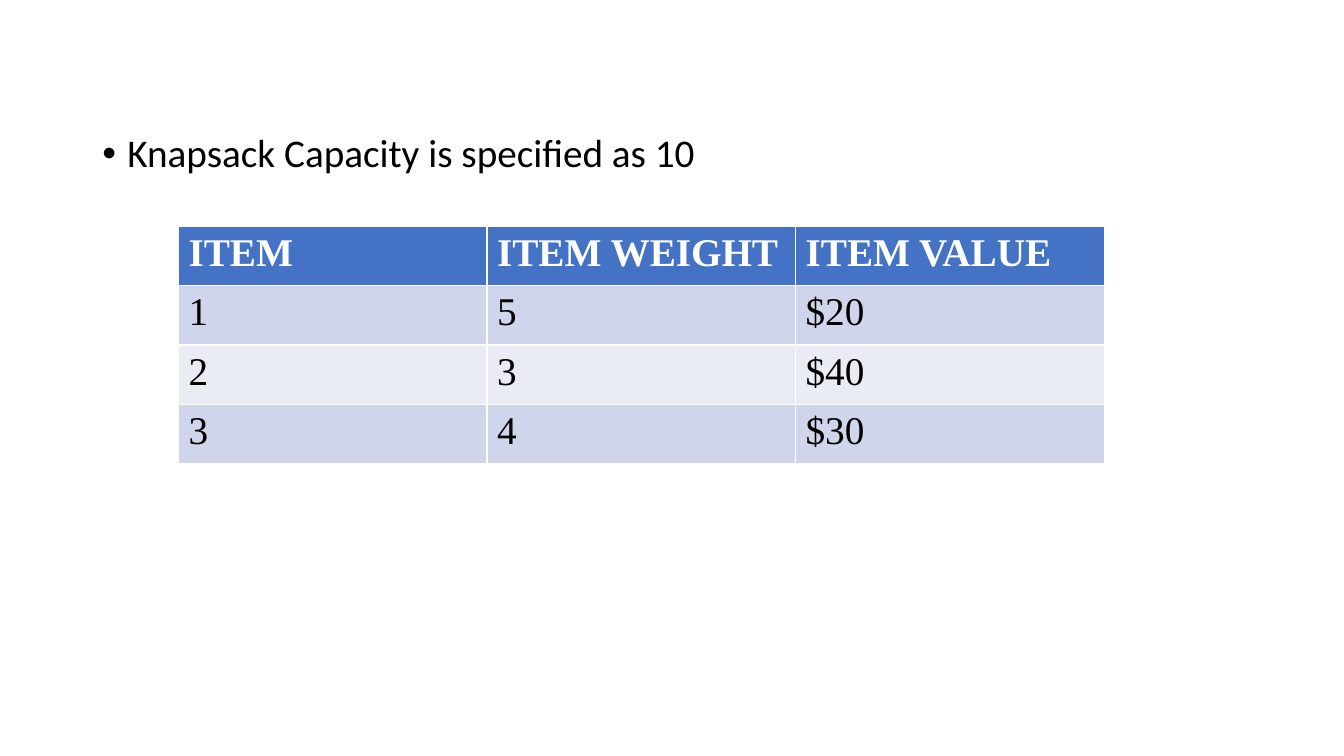
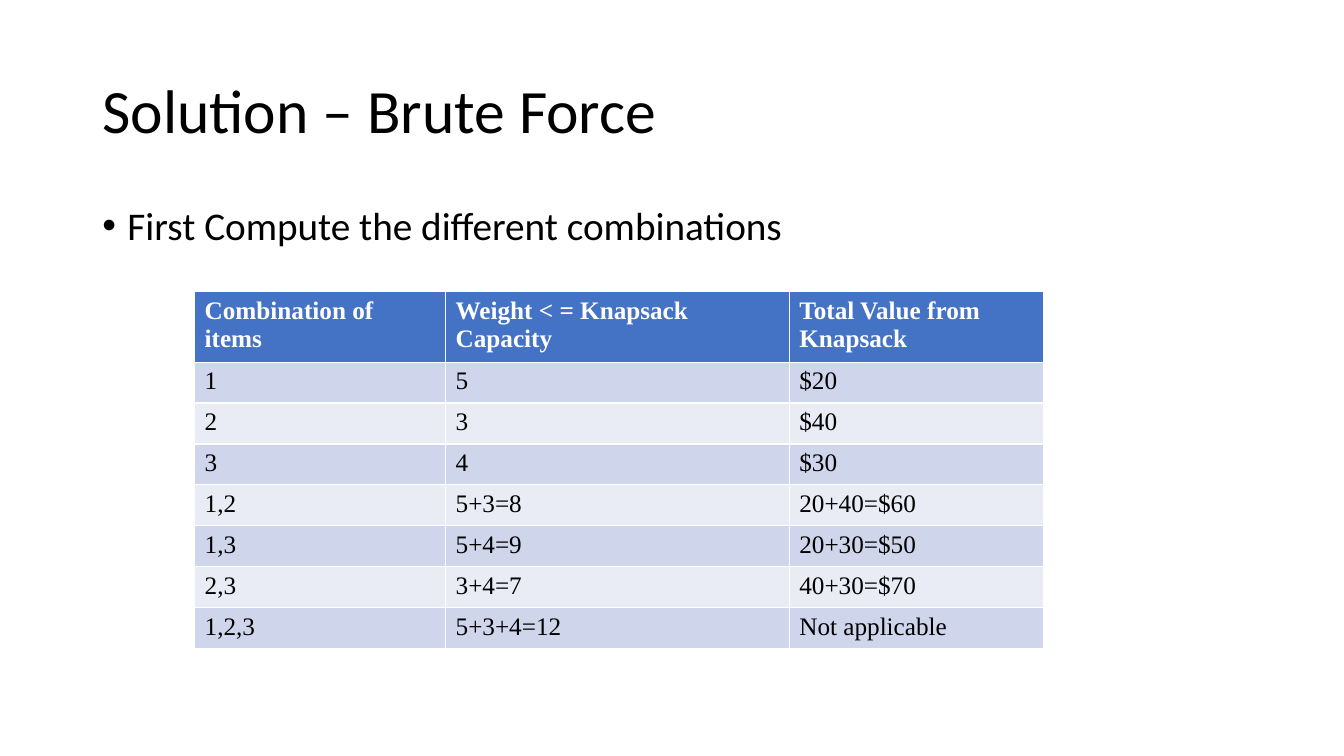
import pptx
import pptx.dml.color
import pptx.enum.text
import pptx.oxml.ns
import pptx.util
from lxml import etree

Pt = pptx.util.Pt

SLIDES = [
    {
        "title": None,
        "bullet": "Knapsack Capacity is specified as 10",
        "bullet_top": 92,
        "table": {
            "left": 127.5, "top": 161.5, "size": 28,
            "columns": [220.4] * 3, "header_height": 42.5, "row_height": 42.5,
            "rows": [
                ("ITEM", "ITEM WEIGHT", "ITEM VALUE"),
                ("1", "5", "$20"),
                ("2", "3", "$40"),
                ("3", "4", "$30"),
            ],
        },
    },
    {
        "title": "Solution – Brute Force",
        "bullet": "First Compute the different combinations",
        "bullet_top": 144,
        "table": {
            "left": 139, "top": 208.3, "size": 18,
            "columns": [179.3, 245.5, 181.4], "header_height": 46, "row_height": 29.2,
            "rows": [
                ("Combination of items", "Weight < = Knapsack Capacity",
                 "Total Value from Knapsack"),
                ("1", "5", "$20"),
                ("2", "3", "$40"),
                ("3", "4", "$30"),
                ("1,2", "5+3=8", "20+40=$60"),
                ("1,3", "5+4=9", "20+30=$50"),
                ("2,3", "3+4=7", "40+30=$70"),
                ("1,2,3", "5+3+4=12", "Not applicable"),
            ],
        },
    },
]

TITLE_ONLY, BLANK = 5, 6
MARGIN, CONTENT_WIDTH = 66, 828
TEXT_FONT, TABLE_FONT = "Calibri", "Times New Roman"
BLACK, WHITE = "000000", "FFFFFF"
HEADER_FILL, BAND_FILLS = "4472C4", ("E9EBF5", "CFD5EA")


def rgb(value):
    return pptx.dml.color.RGBColor.from_string(value)


def add_run(p, text, size, font, color=BLACK, bold=False):
    r = p.add_run()
    r.text = text
    r.font.size = Pt(size)
    r.font.name = font
    r.font.color.rgb = rgb(color)
    r.font.bold = bold


def place(s, left, top, width, height):
    s.left, s.top, s.width, s.height = map(Pt, (left, top, width, height))


def add_title(slide, text):
    s = slide.shapes.title
    place(s, MARGIN, 28.8, CONTENT_WIDTH, 104.4)
    s.text_frame.vertical_anchor = pptx.enum.text.MSO_ANCHOR.MIDDLE
    p = s.text_frame.paragraphs[0]
    p.alignment = pptx.enum.text.PP_ALIGN.LEFT
    p.line_spacing = 0.9
    add_run(p, text, 44, TEXT_FONT)


def add_bullet(slide, text, top):
    s = slide.shapes.add_textbox(Pt(MARGIN), Pt(top), Pt(CONTENT_WIDTH), Pt(40))
    s.text_frame.word_wrap = True
    p = s.text_frame.paragraphs[0]
    p.line_spacing = 0.9
    add_run(p, text, 28, TEXT_FONT)
    props = p._p.get_or_add_pPr()
    props.set("marL", str(Pt(18)))
    props.set("indent", str(-Pt(18)))
    qn = pptx.oxml.ns.qn
    etree.SubElement(props, qn("a:buFont")).set("typeface", "Arial")
    etree.SubElement(props, qn("a:buChar")).set("char", "•")


def add_table(slide, left, top, size, columns, header_height, row_height, rows):
    heights = [header_height] + [row_height] * (len(rows) - 1)
    table = slide.shapes.add_table(
        len(rows), len(columns), Pt(left), Pt(top),
        Pt(sum(columns)), Pt(sum(heights))).table
    for column, width in zip(table.columns, columns):
        column.width = Pt(width)
    for i, (values, height) in enumerate(zip(rows, heights)):
        header = i == 0
        table.rows[i].height = Pt(height)
        for j, value in enumerate(values):
            cell = table.cell(i, j)
            cell.fill.solid()
            cell.fill.fore_color.rgb = rgb(HEADER_FILL if header else BAND_FILLS[i % 2])
            add_run(cell.text_frame.paragraphs[0], value, size, TABLE_FONT,
                    WHITE if header else BLACK, header)


def main():
    prs = pptx.Presentation()
    prs.slide_width, prs.slide_height = Pt(960), Pt(540)
    for content in SLIDES:
        layout = TITLE_ONLY if content["title"] else BLANK
        slide = prs.slides.add_slide(prs.slide_layouts[layout])
        if content["title"]:
            add_title(slide, content["title"])
        add_bullet(slide, content["bullet"], content["bullet_top"])
        add_table(slide, **content["table"])
    prs.save("out.pptx")


if __name__ == "__main__":
    main()
